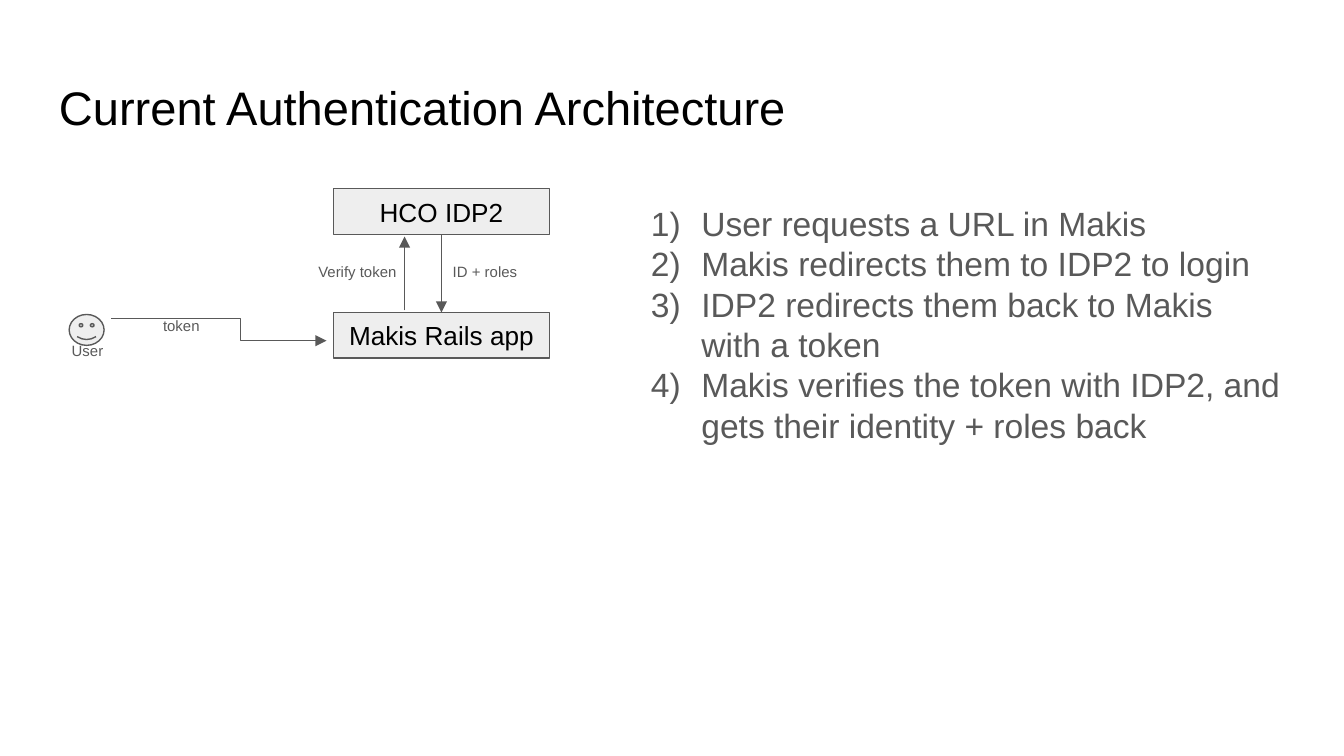
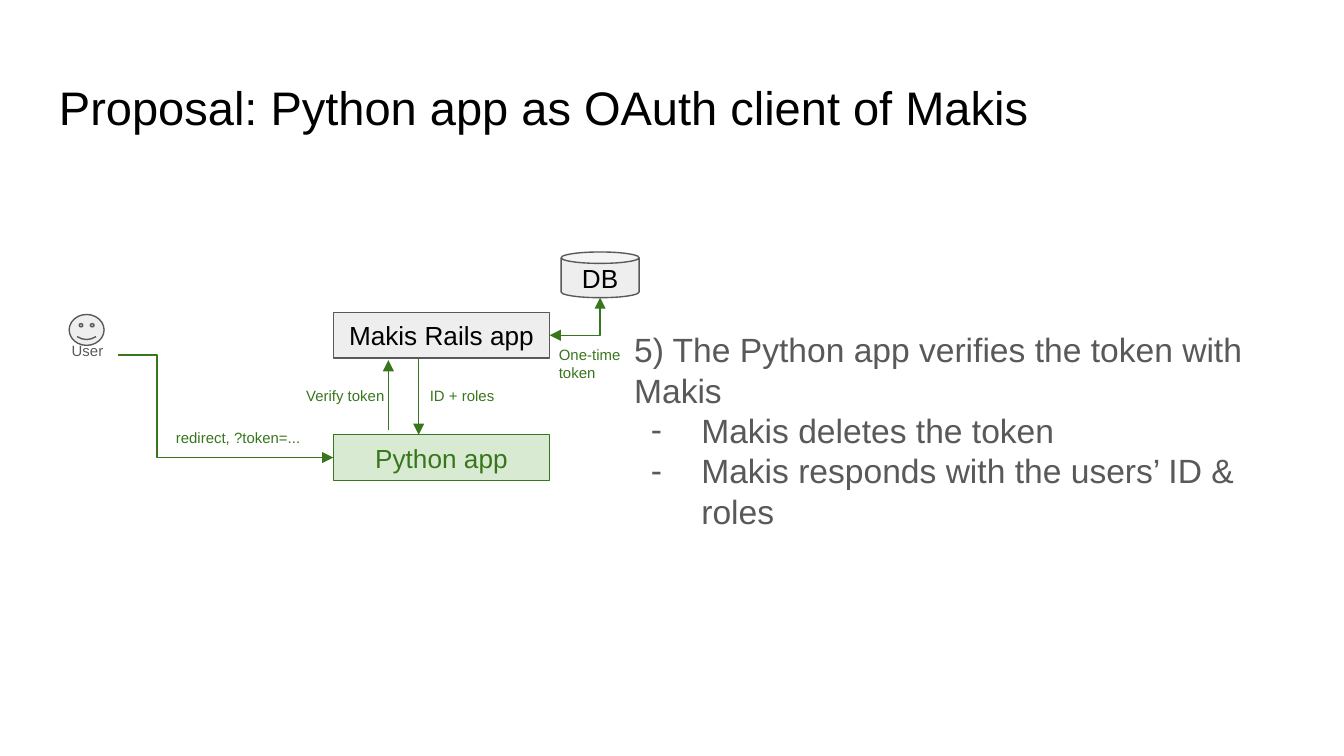
from dataclasses import dataclass
from typing import Optional

from lxml.etree import SubElement
from pptx import Presentation
from pptx.dml.color import RGBColor
from pptx.enum.shapes import MSO_CONNECTOR as CONN, MSO_SHAPE as SHAPE
from pptx.enum.text import MSO_ANCHOR as ANCHOR, MSO_AUTO_SIZE as AUTO, PP_ALIGN as ALIGN
from pptx.oxml.ns import qn
from pptx.util import Emu, Pt

PX = 4572  # 200 px to the inch
FONT = "Arial"
COLORS = {
    "black": "000000",
    "grey": "595959",
    "pale_grey": "EEEEEE",
    "green": "38761D",
    "pale_green": "D9EAD3",
}
BOX_X, BOX_W, BOX_H = 496, 322, 68


@dataclass(frozen=True)
class Box:
    text: str
    x: int
    y: int
    w: int = BOX_W
    kind: SHAPE = SHAPE.RECTANGLE
    fill: str = "pale_grey"
    line: str = "grey"
    color: str = "black"


@dataclass(frozen=True)
class Label:
    text: str
    x: int
    y: int
    w: int = 168
    h: int = 68
    color: str = "grey"


@dataclass(frozen=True)
class Arrow:
    x1: int
    y1: int
    x2: int
    y2: int
    color: str = "grey"
    bend: Optional[float] = None


@dataclass(frozen=True)
class Step:
    text: str
    bullet: str = ""


APP = Box("Makis Rails app", BOX_X, 465)
DB = Box("DB", 835, 375, 116, SHAPE.CAN)


def px(n: int) -> Emu:
    return Emu(n * PX)


def rgb(name: str) -> RGBColor:
    return RGBColor.from_string(COLORS[name])


def style(p, size: float, color: str) -> None:
    for r in p.runs:
        r.font.name = FONT
        r.font.size = Pt(size)
        r.font.color.rgb = rgb(color)


def set_margins(tf) -> None:
    tf.margin_left = tf.margin_right = tf.margin_top = tf.margin_bottom = px(20)
    tf.word_wrap = True


def add_text(slide, text: str, x: int, y: int, w: int, h: int,
             size: float, color: str, grow: bool = True):
    tf = slide.shapes.add_textbox(px(x), px(y), px(w), px(h)).text_frame
    set_margins(tf)
    tf.auto_size = AUTO.SHAPE_TO_FIT_TEXT if grow else AUTO.NONE
    tf.text = text
    for p in tf.paragraphs:
        style(p, size, color)
    return tf


def add_outlined(slide, kind: SHAPE, x: int, y: int, w: int, h: int, fill: str, line: str):
    sp = slide.shapes.add_shape(kind, px(x), px(y), px(w), px(h))
    sp.shadow.inherit = False
    sp.fill.solid()
    sp.fill.fore_color.rgb = rgb(fill)
    sp.line.color.rgb = rgb(line)
    sp.line.width = Pt(0.75)
    return sp


def add_box(slide, box: Box):
    sp = add_outlined(slide, box.kind, box.x, box.y, box.w, BOX_H, box.fill, box.line)
    tf = sp.text_frame
    set_margins(tf)
    tf.vertical_anchor = ANCHOR.MIDDLE
    tf.text = box.text
    p = tf.paragraphs[0]
    p.alignment = ALIGN.CENTER
    style(p, 14, box.color)
    return sp


def add_label(slide, label: Label) -> None:
    add_text(slide, label.text, label.x, label.y, label.w, label.h, 8, label.color)


def add_line(slide, kind: CONN, arrow: Arrow, ends: tuple[str, ...] = ("tailEnd",)):
    """Draw a connector and give it back with its geometry element."""
    points = (px(n) for n in (arrow.x1, arrow.y1, arrow.x2, arrow.y2))
    cxn = slide.shapes.add_connector(kind, *points)
    cxn.line.color.rgb = rgb(arrow.color)
    cxn.line.width = Pt(0.75)
    sp_pr = cxn._element.find(qn("p:spPr"))
    for end in ends:
        SubElement(sp_pr.find(qn("a:ln")), qn(f"a:{end}"), type="triangle")
    SubElement(sp_pr, qn("a:effectLst"))
    return cxn, sp_pr.find(qn("a:prstGeom"))


def add_arrow(slide, arrow: Arrow) -> None:
    """Draw a straight arrow, or an elbow turning at the fraction given by bend."""
    if arrow.bend is None:
        add_line(slide, CONN.STRAIGHT, arrow)
        return
    _, geom = add_line(slide, CONN.ELBOW, arrow)
    guides = geom.find(qn("a:avLst"))
    if guides is None:
        guides = SubElement(geom, qn("a:avLst"))
    SubElement(guides, qn("a:gd"), name="adj1", fmla=f"val {round(arrow.bend * 100000)}")


def add_db_link(slide, app, db) -> None:
    """Join the app's right side to the foot of the database, with heads at both ends."""
    link = Arrow(APP.x + APP.w, APP.y + BOX_H // 2, DB.x + DB.w // 2, DB.y + BOX_H, "green")
    cxn, geom = add_line(slide, CONN.ELBOW, link, ("headEnd", "tailEnd"))
    geom.set("prst", "bentConnector2")
    cxn.begin_connect(app, 3)
    cxn.end_connect(db, 3)
    cxn.end_x, cxn.end_y = px(link.x2), px(link.y2)


def add_bullet(p, bullet: str) -> None:
    p_pr = p._p.get_or_add_pPr()
    p_pr.set("marL", str(px(100)))
    p_pr.set("indent", str(px(-75)))
    color = SubElement(p_pr, qn("a:buClr"))
    SubElement(color, qn("a:srgbClr"), val=COLORS["grey"])
    SubElement(p_pr, qn("a:buFont"), typeface=FONT)
    if bullet == "1)":
        SubElement(p_pr, qn("a:buAutoNum"), type="arabicParenR")
    else:
        SubElement(p_pr, qn("a:buChar"), char=bullet)


def add_steps(slide, steps: list[Step], y: int, h: int) -> None:
    text = "\n".join(step.text for step in steps)
    tf = add_text(slide, text, 924, y, 1002, h, 18, "grey")
    for p, step in zip(tf.paragraphs, steps):
        if step.bullet:
            add_bullet(p, step.bullet)


def start_slide(prs, title: str):
    """Add a slide with the title, the user and the Rails app."""
    slide = prs.slides.add_slide(prs.slide_layouts[6])
    add_text(slide, title, 68, 97, 1864, 126, 25.2, "black", grow=False)
    add_outlined(slide, SHAPE.SMILEY_FACE, 103, 468, 52, 46, "pale_grey", "grey")
    add_label(slide, Label("User", 87, 495, 88))
    return slide, add_box(slide, APP)


def build_current(prs) -> None:
    slide, _ = start_slide(prs, "Current Authentication Architecture")
    add_box(slide, Box("HCO IDP2", BOX_X, 281))
    add_steps(slide, [
        Step("User requests a URL in Makis", "1)"),
        Step("Makis redirects them to IDP2 to login", "1)"),
        Step("IDP2 redirects them back to Makis with a token", "1)"),
        Step("Makis verifies the token with IDP2, and gets their identity + roles back", "1)"),
    ], 282, 464)
    for arrow in (
        Arrow(166, 474, 486, 507, bend=0.6),
        Arrow(602, 462, 602, 352),
        Arrow(657, 349, 657, 465),
    ):
        add_arrow(slide, arrow)
    for label in (
        Label("Verify token", 454, 378),
        Label("ID + roles", 654, 378),
        Label("token", 223, 458),
    ):
        add_label(slide, label)


def build_proposal(prs) -> None:
    slide, app = start_slide(prs, "Proposal: Python app as OAuth client of Makis")
    add_box(slide, Box("Python app", BOX_X, 647, fill="pale_green", line="green", color="green"))
    add_arrow(slide, Arrow(176, 528, 496, 681, "green", bend=0.18))
    add_label(slide, Label("redirect, ?token=...", 242, 624, 244, color="green"))
    add_steps(slide, [
        Step("5) The Python app verifies the token with Makis"),
        Step("Makis deletes the token", "-"),
        Step("Makis responds with the users’ ID & roles", "-"),
    ], 470, 344)
    add_db_link(slide, app, add_box(slide, DB))
    for arrow in (
        Arrow(623, 533, 623, 647, "green"),
        Arrow(578, 640, 578, 536, "green"),
    ):
        add_arrow(slide, arrow)
    for label in (
        Label("Verify token", 436, 562, color="green"),
        Label("ID + roles", 620, 562, color="green"),
        Label("One-time\vtoken", 812, 494, h=94, color="green"),
    ):
        add_label(slide, label)


def main() -> None:
    prs = Presentation()
    prs.slide_width, prs.slide_height = px(2000), px(1125)
    build_current(prs)
    build_proposal(prs)
    prs.save("out.pptx")


if __name__ == "__main__":
    main()
